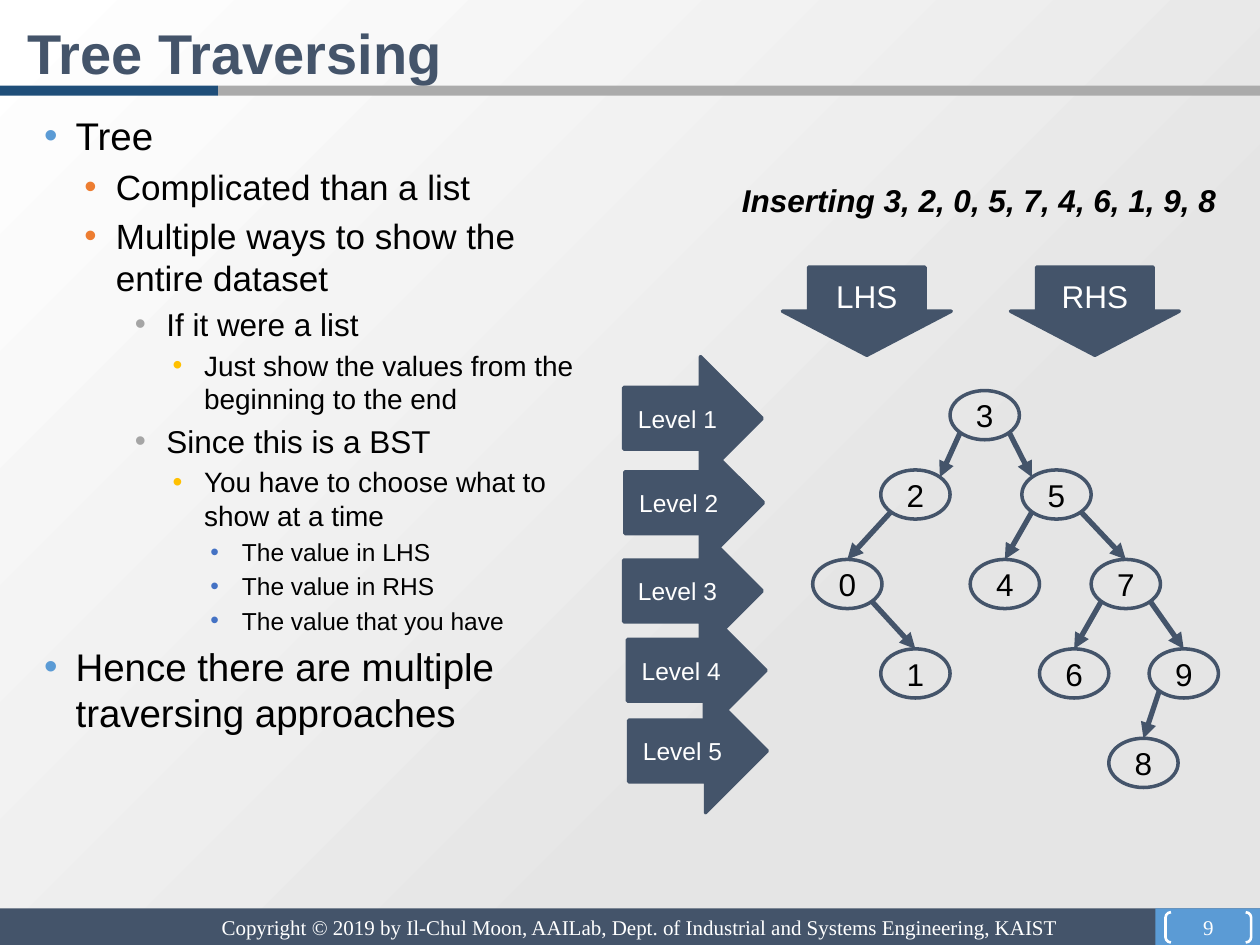
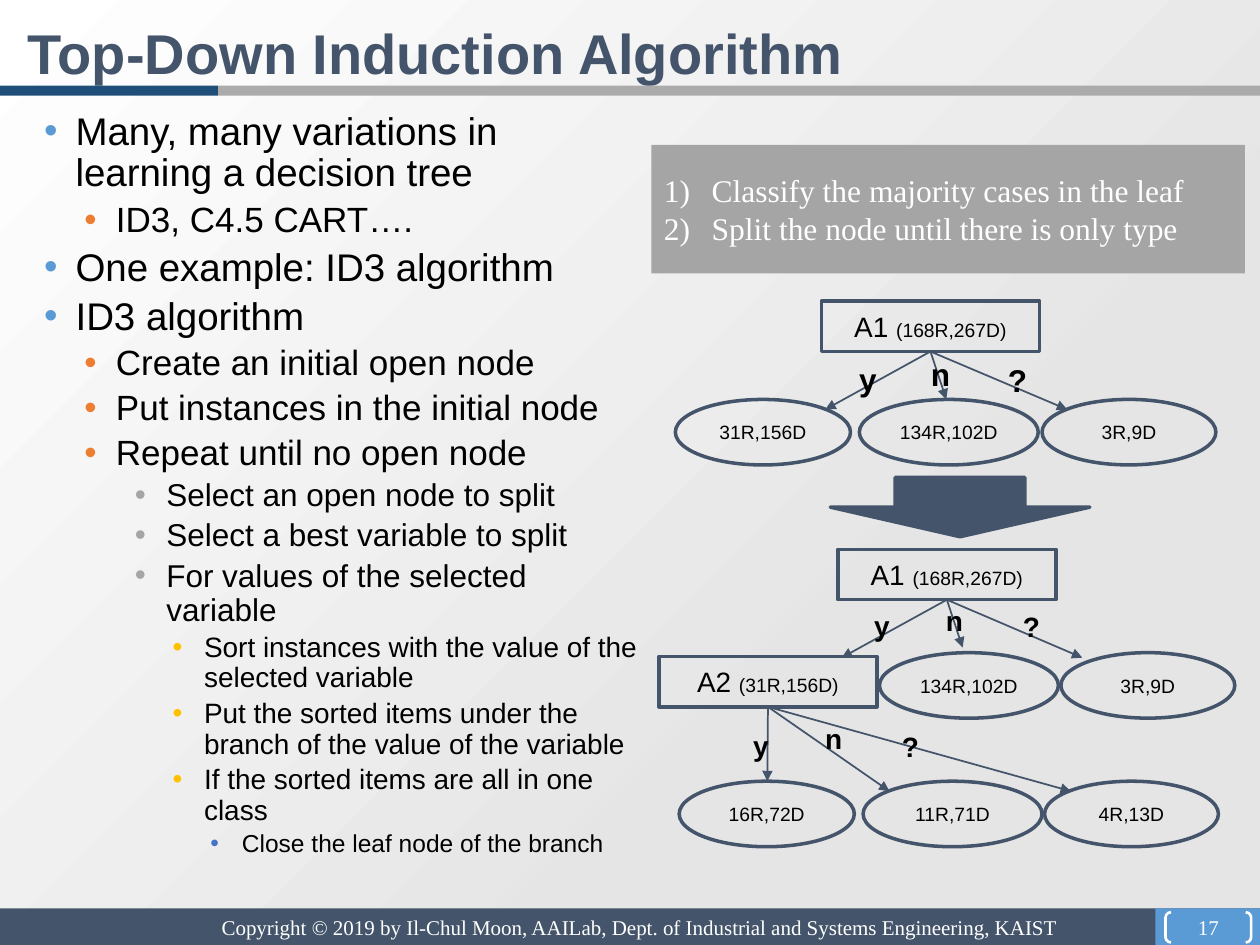
from dataclasses import dataclass, replace
from typing import NamedTuple, Optional

from lxml.etree import SubElement
from pptx import Presentation
from pptx.dml.color import RGBColor as Rgb
from pptx.enum.shapes import MSO_CONNECTOR as Connector, MSO_SHAPE as Preset
from pptx.enum.text import MSO_ANCHOR as Anchor, MSO_AUTO_SIZE as AutoSize, PP_ALIGN as Align
from pptx.oxml.ns import qn
from pptx.util import Emu, Pt

EMU_PER_PX = 9144  # 100 px to the inch


@dataclass(frozen=True)
class TextStyle:
    size: float
    color: str = "000000"
    font: str = "Arial"
    bold: bool = False
    italic: bool = False


@dataclass(frozen=True)
class Theme:
    navy: str = "44546A"
    blue: str = "5B9BD5"
    deep_blue: str = "1F4E79"
    silver: str = "ABABAB"
    gray: str = "A5A5A5"
    white: str = "FFFFFF"
    shade: str = "E5E5E5"
    bullet_colors: tuple = ("5B9BD5", "ED7D31", "A5A5A5", "FFC000", "4472C4")
    bullet_sizes: tuple = (22, 20, 18, 16, 14)
    bullet_indents: tuple = (38, 70, 110, 140, 170)
    title: TextStyle = TextStyle(32, "44546A", bold=True)
    footer: TextStyle = TextStyle(12, "FFFFFF", "Times New Roman")
    rule: TextStyle = TextStyle(18, "FFFFFF", "Times New Roman")
    node: TextStyle = TextStyle(18)
    side: TextStyle = TextStyle(18, "FFFFFF")
    level: TextStyle = TextStyle(14, "FFFFFF")
    caption: TextStyle = TextStyle(18, bold=True, italic=True)
    attribute: TextStyle = TextStyle(16)
    branch: TextStyle = TextStyle(16, bold=True)
    count: TextStyle = TextStyle(11)


THEME = Theme()
FOOTER = "Copyright © 2019 by Il-Chul Moon, AAILab, Dept. of Industrial and Systems Engineering, KAIST"


class Box(NamedTuple):
    left: int
    top: int
    width: int
    height: int


class Bullet(NamedTuple):
    level: int
    text: str


class TreeNode(NamedTuple):
    value: int
    left: int
    top: int
    parent: Optional[int] = None


class Branch(NamedTuple):
    label: str
    label_box: Box
    end: tuple[int, int]


class Leaf(NamedTuple):
    text: str
    box: Box


class Split(NamedTuple):
    name: str
    counts: str
    left: int
    top: int
    label_size: int
    branches: list[Branch]
    leaves: list[Leaf]


TREE_BULLETS = [
    Bullet(0, "Tree"),
    Bullet(1, "Complicated than a list"),
    Bullet(1, "Multiple ways to show the entire dataset"),
    Bullet(2, "If it were a list"),
    Bullet(3, "Just show the values from the beginning to the end"),
    Bullet(2, "Since this is a BST"),
    Bullet(3, "You have to choose what to show at a time"),
    Bullet(4, "The value in LHS"),
    Bullet(4, "The value in RHS"),
    Bullet(4, "The value that you have"),
    Bullet(0, "Hence there are multiple traversing approaches"),
]
INDUCTION_BULLETS = [
    Bullet(0, "Many, many variations in learning a decision tree"),
    Bullet(1, "ID3, C4.5 CART…."),
    Bullet(0, "One example: ID3 algorithm"),
    Bullet(0, "ID3 algorithm"),
    Bullet(1, "Create an initial open node"),
    Bullet(1, "Put instances in the initial node"),
    Bullet(1, "Repeat until no open node"),
    Bullet(2, "Select an open node to split"),
    Bullet(2, "Select a best variable to split"),
    Bullet(2, "For values of the selected variable"),
    Bullet(3, "Sort instances with the value of the selected variable"),
    Bullet(3, "Put the sorted items under the branch of the value of the variable"),
    Bullet(3, "If the sorted items are all in one class"),
    Bullet(4, "Close the leaf node of the branch"),
]
NODE_WIDTH, NODE_HEIGHT = 55, 39
TREE_NODES = [
    TreeNode(3, 754, 310),
    TreeNode(2, 699, 373, 3), TreeNode(5, 811, 373, 3),
    TreeNode(0, 645, 444, 2), TreeNode(4, 770, 444, 5), TreeNode(7, 866, 444, 5),
    TreeNode(1, 699, 515, 0), TreeNode(6, 825, 515, 7), TreeNode(9, 912, 515, 7),
    TreeNode(8, 880, 586, 9),
]
LEVEL_CORNERS = [(495, 283), (496, 350), (495, 420), (498, 483), (499, 547)]
SPLITS = [
    Split("A1", "(168R,267D)", 652, 239, 18,
          [Branch("y", Box(672, 281, 34, 40), (655, 325)),
           Branch("n", Box(729, 277, 35, 40), (751, 317)),
           Branch("?", Box(790, 282, 36, 40), (847, 325))],
          [Leaf("31R,156D", Box(536, 317, 139, 52)),
           Leaf("134R,102D", Box(682, 317, 142, 52)),
           Leaf("3R,9D", Box(827, 317, 138, 52))]),
    Split("A1", "(168R,267D)", 665, 436, 16,
          [Branch("y", Box(684, 478, 33, 37), (668, 522)),
           Branch("n", Box(741, 474, 34, 37), (764, 514)),
           Branch("?", Box(802, 479, 34, 37), (859, 522))],
          [Leaf("134R,102D", Box(698, 518, 142, 52)),
           Leaf("3R,9D", Box(842, 518, 138, 52))]),
    Split("A2", "(31R,156D)", 523, 521, 16,
          [Branch("y", Box(588, 573, 33, 37), (609, 620)),
           Branch("n", Box(645, 568, 34, 37), (706, 628)),
           Branch("?", Box(706, 574, 34, 37), (850, 628))],
          [Leaf("16R,72D", Box(539, 620, 139, 52)),
           Leaf("11R,71D", Box(685, 620, 142, 52)),
           Leaf("4R,13D", Box(829, 620, 138, 52))]),
]


def px(length: float) -> Emu:
    return Emu(round(length * EMU_PER_PX))


def style_font(font, style: TextStyle) -> None:
    font.name, font.size = style.font, Pt(style.size)
    font.bold, font.italic = style.bold, style.italic
    font.color.rgb = Rgb.from_string(style.color)


def hang(para, left: int, hanging: int) -> None:
    properties = para._p.get_or_add_pPr()
    properties.set("marL", str(px(left)))
    properties.set("indent", str(-px(hanging)))


def place(shape, box: Box) -> None:
    shape.left, shape.top, shape.width, shape.height = map(px, box)


def add_preset(slide, preset, box: Box, fill: Optional[str] = None, line: Optional[str] = None,
               line_width: float = 2, text: str = "", style: Optional[TextStyle] = None):
    shape = slide.shapes.add_shape(preset, *map(px, box))
    shape.shadow.inherit = False
    if fill:
        shape.fill.solid()
        shape.fill.fore_color.rgb = Rgb.from_string(fill)
    else:
        shape.fill.background()
    if line:
        shape.line.color.rgb = Rgb.from_string(line)
        shape.line.width = Pt(line_width)
    else:
        shape.line.fill.background()
    if style:
        shape.text_frame.vertical_anchor = Anchor.MIDDLE
        para = shape.text_frame.paragraphs[0]
        para.text, para.alignment = text, Align.CENTER
        style_font(para.font, style)
    return shape


def add_label(slide, box: Box, text: str, style: TextStyle) -> None:
    label = slide.shapes.add_textbox(*map(px, box))
    label.text_frame.word_wrap = False
    para = label.text_frame.paragraphs[0]
    para.text = text
    style_font(para.font, style)


def add_arrow(slide, start: tuple, end: tuple, width: float):
    arrow = slide.shapes.add_connector(Connector.STRAIGHT, *map(px, (*start, *end)))
    arrow.line.color.rgb = Rgb.from_string(THEME.navy)
    arrow.line.width = Pt(width)
    properties = arrow.element.spPr
    SubElement(properties.find(qn("a:ln")), qn("a:tailEnd"), type="triangle")
    SubElement(properties, qn("a:effectLst"))
    return arrow


def fill_body(body, bullets: list[Bullet], line_spacing: Optional[float]) -> None:
    frame = body.text_frame
    frame.auto_size = AutoSize.NONE
    for index, bullet in enumerate(bullets):
        para = frame.paragraphs[0] if index == 0 else frame.add_paragraph()
        para.text, para.level = bullet.text, bullet.level
        para.line_spacing = line_spacing
        hang(para, THEME.bullet_indents[bullet.level], 25)
        properties = para._p.get_or_add_pPr()
        color = SubElement(properties, qn("a:buClr"))
        SubElement(color, qn("a:srgbClr"), val=THEME.bullet_colors[bullet.level])
        SubElement(properties, qn("a:buFont"), typeface="Arial")
        SubElement(properties, qn("a:buChar"), char="•")
        style_font(para.font, TextStyle(THEME.bullet_sizes[bullet.level]))


def add_page(deck, title: str, number: int, bullets: list[Bullet], body_width: int,
             line_spacing: Optional[float] = None):
    """Add a slide with its bands, footer, title and bullet list."""
    slide = deck.slides.add_slide(deck.slide_layouts[1])
    heading, body = slide.placeholders
    place(heading, Box(0, 10, 953, 56))
    heading.text_frame.auto_size = AutoSize.NONE
    heading.text_frame.vertical_anchor = Anchor.TOP
    para = heading.text_frame.paragraphs[0]
    para.text, para.alignment = title, Align.LEFT
    hang(para, 12, 0)
    style_font(para.font, THEME.title)
    place(body, Box(12, 84, body_width, 622))
    fill_body(body, bullets, line_spacing)

    for box, color in [(Box(0, 721, 1000, 29), THEME.navy), (Box(917, 721, 83, 29), THEME.blue),
                       (Box(173, 68, 827, 8), THEME.silver), (Box(0, 68, 173, 8), THEME.deep_blue)]:
        add_preset(slide, Preset.RECTANGLE, box, color)
    add_label(slide, Box(166, 721, 691, 30), FOOTER, THEME.footer)
    bracket = add_preset(slide, Preset.DOUBLE_BRACKET, Box(925, 724, 68, 24), line=THEME.white,
                         line_width=1.5, text=str(number), style=THEME.footer)
    bracket.adjustments[0] = 0.18
    frame = bracket.text_frame
    frame.margin_left = frame.margin_top = frame.margin_right = frame.margin_bottom = 0
    return slide


def add_edge(slide, parent: TreeNode, child: TreeNode) -> None:
    """Join a lower diagonal point of the parent to the top of the child."""
    reach_x, reach_y = NODE_WIDTH / 8 ** 0.5, NODE_HEIGHT / 8 ** 0.5
    side = 1 if child.left > parent.left else -1
    start = (parent.left + NODE_WIDTH / 2 + side * reach_x, parent.top + NODE_HEIGHT / 2 + reach_y)
    end = (child.left + NODE_WIDTH / 2, child.top)
    if parent.parent is None:
        end = (end[0] - side * reach_x, child.top + NODE_HEIGHT / 2 - reach_y)
    add_arrow(slide, start, end, 3)


def add_traversing_slide(deck) -> None:
    slide = add_page(deck, "Tree Traversing", 9, TREE_BULLETS, 478)
    nodes = {node.value: node for node in TREE_NODES}
    for node in TREE_NODES:
        add_preset(slide, Preset.OVAL, Box(node.left, node.top, NODE_WIDTH, NODE_HEIGHT),
                   line=THEME.navy, text=str(node.value), style=THEME.node)
    for node in TREE_NODES:
        if node.parent is not None:
            add_edge(slide, nodes[node.parent], node)
    for level, corner in enumerate(LEVEL_CORNERS, start=1):
        add_preset(slide, Preset.RIGHT_ARROW, Box(*corner, 110, 98), THEME.navy, THEME.navy,
                   text=f"Level {level}", style=THEME.level)
    add_label(slide, Box(579, 139, 400, 40), "Inserting 3, 2, 0, 5, 7, 4, 6, 1, 9, 8", THEME.caption)
    for side, left in [("LHS", 621), ("RHS", 802)]:
        arrow = add_preset(slide, Preset.DOWN_ARROW, Box(left, 212, 134, 70), THEME.navy, THEME.navy,
                           text=side, style=THEME.side)
        arrow.adjustments[0] = 0.69


def add_split(slide, split: Split) -> None:
    node = add_preset(slide, Preset.RECTANGLE, Box(split.left, split.top, 173, 40), line=THEME.navy,
                      style=THEME.attribute)
    para = node.text_frame.paragraphs[0]
    for text, style in [(f"{split.name} ", THEME.attribute), (split.counts, THEME.count)]:
        span = para.add_run()
        span.text, span.font.size = text, Pt(style.size)
    for leaf in split.leaves:
        add_preset(slide, Preset.OVAL, leaf.box, line=THEME.navy, text=leaf.text, style=THEME.count)
    for branch in split.branches:
        arrow = add_arrow(slide, (split.left + 86, split.top + 40), branch.end, 1)
        arrow.begin_connect(node, 2)
        add_label(slide, branch.label_box, branch.label, replace(THEME.branch, size=split.label_size))


def add_induction_slide(deck) -> None:
    slide = add_page(deck, "Top-Down Induction Algorithm", 17, INDUCTION_BULLETS, 508, 0.9)
    panel = add_preset(slide, Preset.RECTANGLE, Box(517, 115, 471, 102), THEME.gray)
    frame = panel.text_frame
    frame.vertical_anchor = Anchor.MIDDLE
    frame.text = "Classify the majority cases in the leaf\nSplit the node until there is only type"
    for para in frame.paragraphs:
        para.alignment = Align.JUSTIFY
        hang(para, 38, 38)
        SubElement(para._p.get_or_add_pPr(), qn("a:buAutoNum"), type="arabicParenR")
        style_font(para.font, THEME.rule)
    add_preset(slide, Preset.DOWN_ARROW, Box(659, 379, 206, 47), THEME.navy, THEME.navy)
    for split in SPLITS:
        add_split(slide, split)


def paint_background(deck) -> None:
    fill = deck.slide_master.background.fill
    fill.gradient()
    fill.gradient_angle = 135
    for stop, position, color in zip(fill.gradient_stops, (0.31, 1), (THEME.shade, THEME.white)):
        stop.position, stop.color.rgb = position, Rgb.from_string(color)


def main() -> None:
    deck = Presentation()
    deck.slide_width, deck.slide_height = px(1000), px(750)
    paint_background(deck)
    add_traversing_slide(deck)
    add_induction_slide(deck)
    deck.save("out.pptx")


if __name__ == "__main__":
    main()
